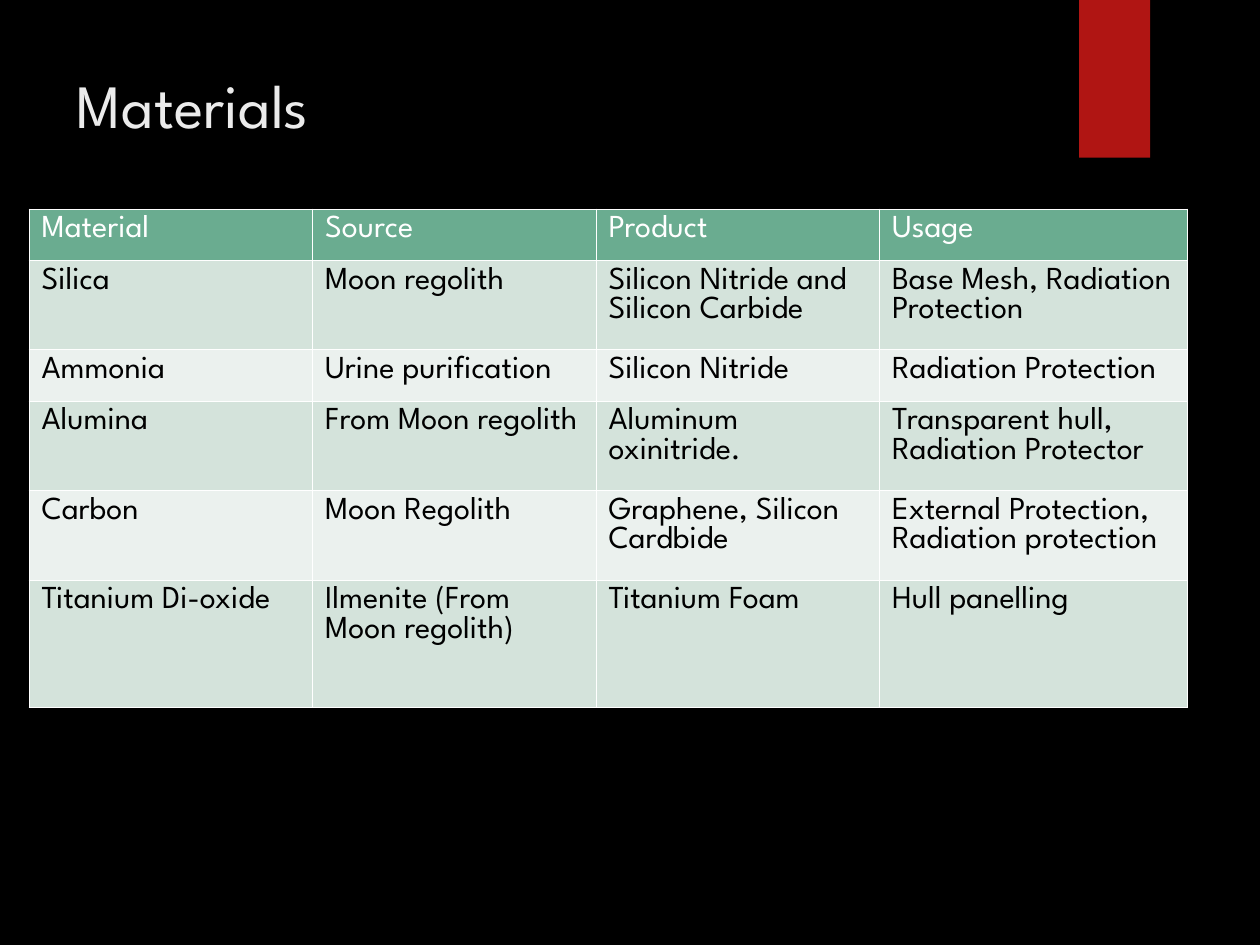
from dataclasses import dataclass

from lxml.etree import SubElement
from pptx import Presentation
from pptx.dml.color import RGBColor
from pptx.enum.shapes import MSO_SHAPE as Preset
from pptx.enum.text import MSO_ANCHOR as Anchor, PP_ALIGN as Align
from pptx.oxml.ns import qn
from pptx.util import Emu, Inches, Pt

WIDTH, HEIGHT = Inches(14.22), Inches(10.67)
FONT = "League Spartan"
COLOURS = {
    "background": "000000",
    "ribbon": "B01513",
    "title": "EBEBEB",
    "header": "6AAC90",
    "odd": "D4E3DB",
    "even": "EBF1EE",
    "light": "FFFFFF",
    "dark": "000000",
}
COLUMN_SHARES = (22.5, 22.5, 22.5, 24.4)
FIRST_LINE_SHARE, NEXT_LINE_SHARE = 5.44, 4.03


@dataclass(frozen=True)
class Area:
    left: float
    top: float
    width: float
    height: float

    def lengths(self) -> tuple[Emu, Emu, Emu, Emu]:
        return across(self.left), down(self.top), across(self.width), down(self.height)


@dataclass(frozen=True)
class MaterialRow:
    lines: int
    texts: tuple[str, str, str, str]


ROWS = (
    MaterialRow(1, ("Material", "Source", "Product", "Usage")),
    MaterialRow(2, ("Silica", "Moon regolith", "Silicon Nitride and Silicon Carbide",
                    "Base Mesh, Radiation Protection")),
    MaterialRow(1, ("Ammonia", "Urine purification", "Silicon Nitride",
                    "Radiation Protection")),
    MaterialRow(2, ("Alumina", "From Moon regolith", "Aluminum oxinitride.",
                    "Transparent hull, Radiation Protector")),
    MaterialRow(2, ("Carbon", "Moon Regolith", "Graphene, Silicon Cardbide",
                    "External Protection, Radiation protection")),
    MaterialRow(3, ("Titanium Di-oxide", "Ilmenite (From Moon regolith)",
                    "Titanium Foam", "Hull panelling")),
)


def across(percent: float) -> Emu:
    return Emu(round(WIDTH * percent / 100))


def down(percent: float) -> Emu:
    return Emu(round(HEIGHT * percent / 100))


def colour(name: str) -> RGBColor:
    return RGBColor.from_string(COLOURS[name])


def paint(fill, name: str) -> None:
    fill.solid()
    fill.fore_color.rgb = colour(name)


def write(frame, text: str, size: float, name: str) -> None:
    frame.word_wrap = True
    para = frame.paragraphs[0]
    para.alignment = Align.LEFT
    span = para.add_run()
    span.text = text
    span.font.name = FONT
    span.font.size = Pt(size)
    span.font.color.rgb = colour(name)


def set_margins(holder, side: float, end: float) -> None:
    holder.margin_left = holder.margin_right = Inches(side)
    holder.margin_top = holder.margin_bottom = Inches(end)


def add_borders(cell) -> None:
    properties = cell._tc.get_or_add_tcPr()
    for side in ("lnL", "lnR", "lnT", "lnB"):
        line = SubElement(properties, qn(f"a:{side}"), w=str(Pt(1)))
        fill = SubElement(line, qn("a:solidFill"))
        SubElement(fill, qn("a:srgbClr"), val=COLOURS["light"])


def add_ribbon(page, area: Area) -> None:
    ribbon = page.shapes.add_shape(Preset.RECTANGLE, *area.lengths())
    ribbon.shadow.inherit = False
    paint(ribbon.fill, "ribbon")
    ribbon.line.fill.background()


def add_title(page, area: Area) -> None:
    box = page.shapes.add_textbox(*area.lengths())
    box.text_frame.vertical_anchor = Anchor.TOP
    set_margins(box.text_frame, 0.12, 0.06)
    write(box.text_frame, "Materials", 50, "title")


def add_materials(page, left: float, top: float) -> None:
    heights = [FIRST_LINE_SHARE + NEXT_LINE_SHARE * (row.lines - 1) for row in ROWS]
    area = Area(left, top, sum(COLUMN_SHARES), sum(heights))
    table = page.shapes.add_table(len(ROWS), len(COLUMN_SHARES), *area.lengths()).table
    for column, share in zip(table.columns, COLUMN_SHARES):
        column.width = across(share)
    for index, row in enumerate(ROWS):
        table.rows[index].height = down(heights[index])
        band = "header" if index == 0 else "odd" if index % 2 else "even"
        for cell, text in zip(table.rows[index].cells, row.texts):
            set_margins(cell, 0.14, 0.07)
            add_borders(cell)
            paint(cell.fill, band)
            write(cell.text_frame, text, 26, "light" if index == 0 else "dark")


def main() -> None:
    deck = Presentation()
    deck.slide_width, deck.slide_height = WIDTH, HEIGHT
    page = deck.slides.add_slide(deck.slide_layouts[6])
    paint(page.background.fill, "background")
    add_ribbon(page, Area(85.65, 0, 5.63, 16.68))
    add_title(page, Area(5.27, 6.56, 77.14, 20.43))
    add_materials(page, 2.32, 22.12)
    deck.save("out.pptx")


if __name__ == "__main__":
    main()
